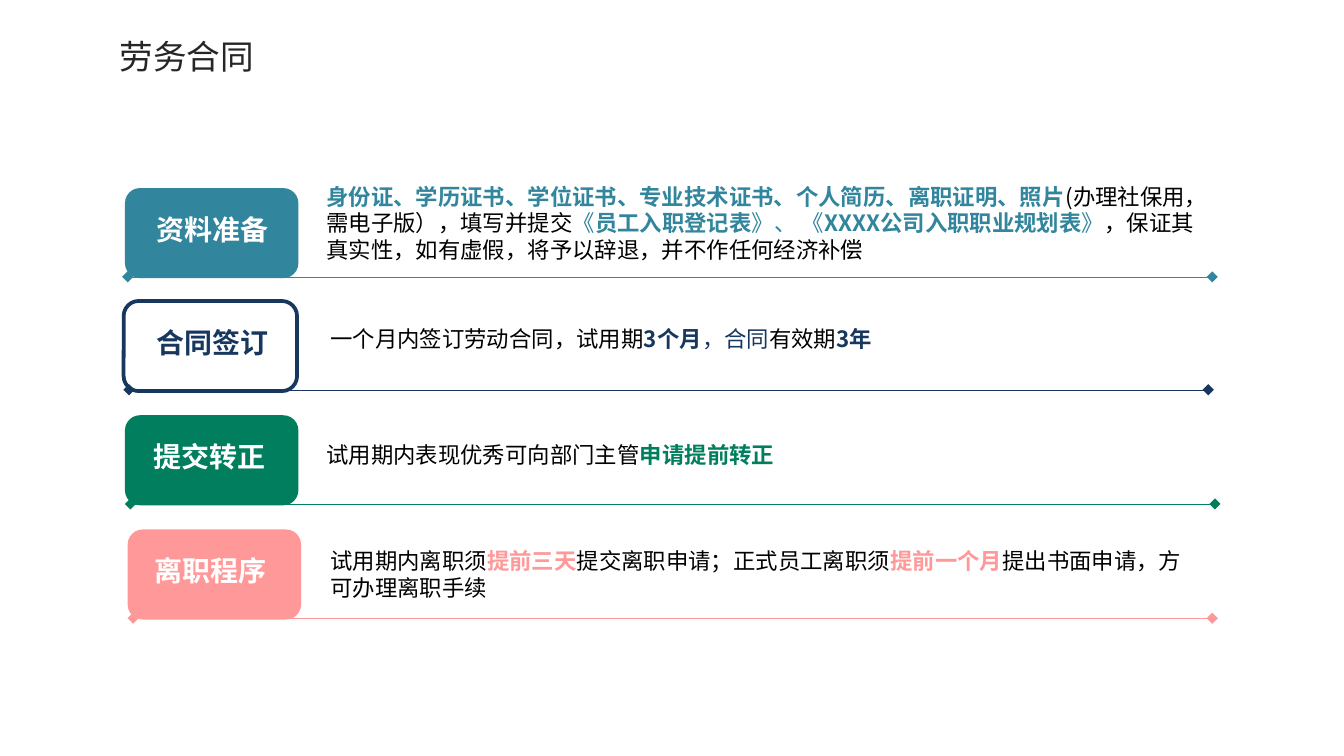
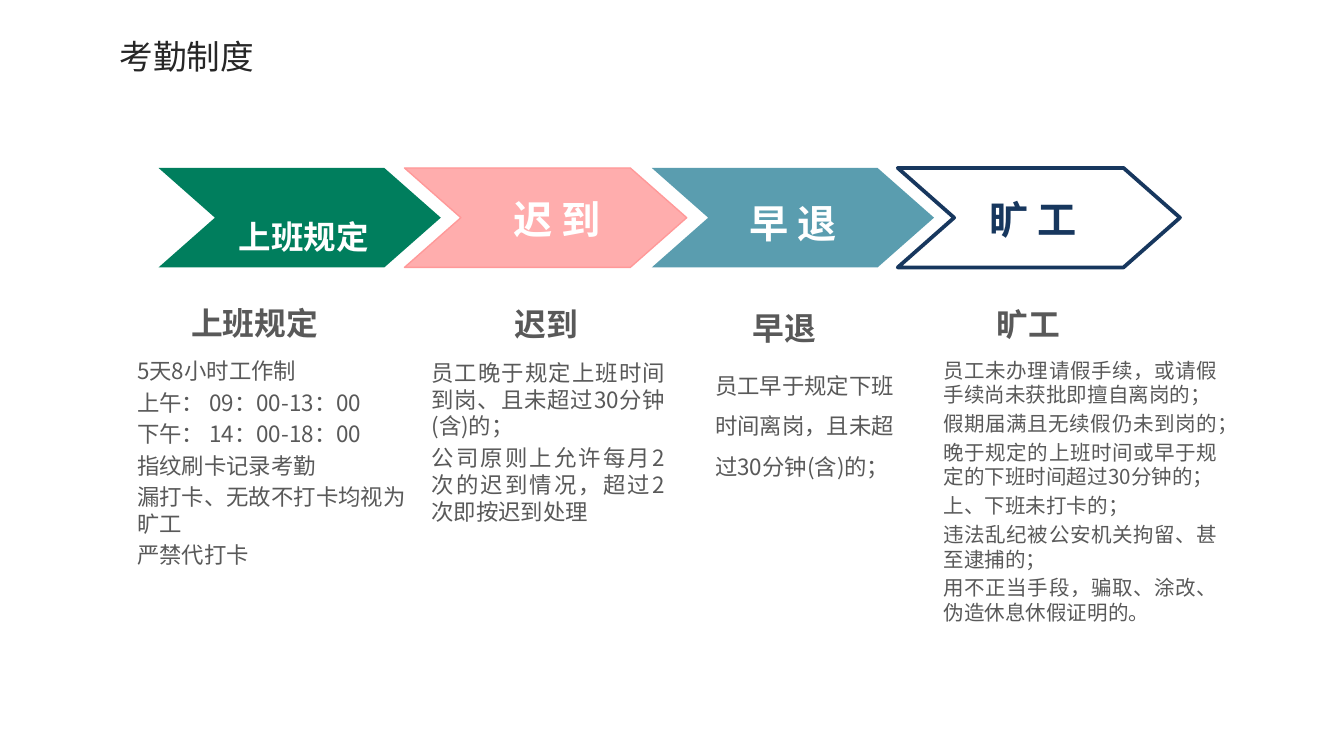
from dataclasses import dataclass
from typing import NamedTuple

from lxml.etree import SubElement
from pptx import Presentation
from pptx.dml.color import RGBColor
from pptx.enum.dml import MSO_LINE
from pptx.enum.shapes import MSO_CONNECTOR, MSO_SHAPE
from pptx.enum.text import MSO_ANCHOR, MSO_AUTO_SIZE, PP_ALIGN
from pptx.oxml.ns import qn
from pptx.util import Emu, Inches, Pt

# Shared look: 100 px to the inch, on a 16:9 page
PX = 9144
PAGE_WIDTH = Inches(10)
PAGE_HEIGHT = Emu(PAGE_WIDTH * 9 // 16)
FONT = "Noto Sans CJK SC"
LINE_HEIGHT = 1.2
TITLE_ONLY, COMPARISON = 5, 4
BLACK, WHITE, INK, GREY = "000000", "FFFFFF", "262626", "595959"
TEAL, NAVY, GREEN, PINK = "31859C", "17375E", "007E5D", "FF9999"


class Area(NamedTuple):
    left: int
    top: int
    width: int
    height: int


class Span(NamedTuple):
    text: str
    color: str = BLACK
    bold: bool = False


@dataclass(frozen=True)
class Style:
    size: int
    align: PP_ALIGN = PP_ALIGN.LEFT
    anchor: MSO_ANCHOR = MSO_ANCHOR.TOP
    wrap: bool = True
    leading: float = 1.0
    exact: bool = True
    inset: tuple[int, int] = (10, 5)
    baseline: int = 0


@dataclass(frozen=True)
class Step:
    label: str
    color: str
    card_left: int
    label_left: int
    detail: Area
    rule: tuple[int, int]
    spans: list[Span]
    outlined: bool = False


@dataclass(frozen=True)
class Column:
    label: str
    label_area: Area
    label_style: Style
    color: str
    heading: str
    heading_area: Area
    body_area: Area
    body_style: Style
    lines: list[str]
    opacity: int = 100
    edge: float = 0
    outlined: bool = False


TITLE = Style(18, wrap=False)
CARD_LABEL = Style(15, PP_ALIGN.CENTER, wrap=False)
DETAIL = Style(12)
HEADING = Style(17, PP_ALIGN.CENTER, wrap=False, inset=(7, 4))
LIST = Style(12, inset=(7, 4))
LIST_JUSTIFIED = Style(12, PP_ALIGN.JUSTIFY, inset=(7, 4))
LIST_SMALL = Style(11, PP_ALIGN.JUSTIFY, inset=(7, 4))
LIST_OPEN = Style(12, leading=1.5, inset=(7, 4))
ARROW = Style(21, PP_ALIGN.CENTER, MSO_ANCHOR.MIDDLE, exact=False)
ARROW_OPEN = Style(21, PP_ALIGN.CENTER, MSO_ANCHOR.MIDDLE, leading=1.2, exact=False)
ARROW_LOW = Style(30, PP_ALIGN.CENTER, MSO_ANCHOR.MIDDLE, leading=1.2, exact=False,
                  baseline=-3000)


def px(value: int) -> Emu:
    return Emu(value * PX)


def rgb(color: str) -> RGBColor:
    return RGBColor.from_string(color)


def write(box, area: Area, paragraphs: list[list[Span]], style: Style) -> None:
    """Place a text box or placeholder and fill it with styled paragraphs."""
    box.left, box.top, box.width, box.height = map(px, area)
    frame = box.text_frame
    frame.word_wrap = style.wrap
    frame.auto_size = MSO_AUTO_SIZE.SHAPE_TO_FIT_TEXT
    frame.vertical_anchor = style.anchor
    frame.margin_left = frame.margin_right = px(style.inset[0])
    frame.margin_top = frame.margin_bottom = px(style.inset[1])
    for index, spans in enumerate(paragraphs):
        para = frame.add_paragraph() if index else frame.paragraphs[0]
        properties = para._p.get_or_add_pPr()
        properties.set("marL", "0")
        properties.set("indent", "0")
        SubElement(properties, qn("a:buNone"))
        para.alignment = style.align
        para.space_before = Pt(style.size * 0.2 if index else 0)
        if style.exact:
            para.line_spacing = Pt(style.size * LINE_HEIGHT * style.leading)
        else:
            para.line_spacing = style.leading
        for span in spans:
            run = para.add_run()
            run.text = span.text
            run.font.size = Pt(style.size)
            run.font.bold = span.bold
            run.font.color.rgb = rgb(span.color)
            run.font.name = FONT
            run_properties = run._r.get_or_add_rPr()
            SubElement(run_properties, qn("a:ea")).set("typeface", FONT)
            if style.baseline:
                run_properties.set("baseline", str(style.baseline))


def add_text(page, area: Area, spans: list[Span], style: Style) -> None:
    write(page.shapes.add_textbox(*map(px, area)), area, [spans], style)


def paint(shape, color: str, outlined: bool, opacity: int = 100, edge: float = 0) -> None:
    """Give a shape either a solid fill or a heavy outline."""
    shape.shadow.inherit = False
    if outlined:
        shape.fill.background()
        edge = 2
    else:
        shape.fill.solid()
        shape.fill.fore_color.rgb = rgb(color)
        if opacity < 100:
            fill = shape._element.spPr.find(qn("a:solidFill"))
            SubElement(fill[0], qn("a:alpha")).set("val", str(opacity * 1000))
    if edge:
        shape.line.color.rgb = rgb(color)
        shape.line.width = Pt(edge)
    else:
        shape.line.fill.background()


def add_rule(page, left: int, right: int, top: int, color: str) -> None:
    """Draw a dotted rule with a diamond at each end."""
    rule = page.shapes.add_connector(MSO_CONNECTOR.STRAIGHT, px(left), px(top),
                                     px(right), px(top))
    rule.line.color.rgb = rgb(color)
    rule.line.width = Pt(0.25)
    rule.line.dash_style = MSO_LINE.ROUND_DOT
    outline = rule.line._get_or_add_ln()
    for end in ("a:headEnd", "a:tailEnd"):
        SubElement(outline, qn(end)).set("type", "diamond")
    SubElement(rule._element.spPr, qn("a:effectLst"))


def add_chevron(page, left: int, top: int):
    outline = page.shapes.build_freeform(0, 0, scale=PX)
    outline.add_line_segments([(168, 0), (210, 37), (168, 74), (0, 74), (42, 37)])
    return outline.convert_to_shape(px(left), px(top))


def add_page(deck, layout: int, title: str):
    page = deck.slides.add_slide(deck.slide_layouts[layout])
    write(page.shapes.title, Area(79, 22, 121, 40), [[Span(title, INK)]], TITLE)
    return page


# Slide 1: contract steps
STEPS = [
    Step("资料准备", TEAL, 93, 106, Area(233, 131, 670, 71), (95, 902), [
        Span("身份证、学历证书、学位证书、专业技术证书、个人简历、离职证明、照片", TEAL, True),
        Span("(办理社保用，需电子版），填写并提交"),
        Span("《", TEAL),
        Span("员工入职登记表", TEAL, True),
        Span("》、 《", TEAL),
        Span("XXXX公司入职职业规划表", TEAL, True),
        Span("》", TEAL),
        Span("，保证其真实性，如有虚假，将予以辞退，并不作任何经济补偿"),
    ]),
    Step("合同签订", NAVY, 92, 106, Area(236, 237, 510, 30), (96, 899), [
        Span("一个月内签订劳动合同，试用期"),
        Span("3个月", NAVY, True),
        Span("，合同", NAVY),
        Span("有效期"),
        Span("3年", NAVY, True),
    ], outlined=True),
    Step("提交转正", GREEN, 93, 104, Area(233, 323, 609, 30), (97, 904), [
        Span("试用期内表现优秀可向部门主管"),
        Span("申请提前转正", GREEN, True),
    ]),
    Step("离职程序", PINK, 95, 105, Area(236, 402, 666, 50), (99, 902), [
        Span("试用期内离职须"),
        Span("提前三天", PINK, True),
        Span("提交离职申请；正式员工离职须"),
        Span("提前一个月", PINK, True),
        Span("提出书面申请，方可办理离职手续"),
    ]),
]


def build_contract(deck) -> None:
    page = add_page(deck, TITLE_ONLY, "劳务合同")
    for index, step in enumerate(STEPS):
        top = 140 + 254 * index // 3
        card = page.shapes.add_shape(MSO_SHAPE.ROUNDED_RECTANGLE,
                                     *map(px, Area(step.card_left, top, 129, 67)))
        paint(card, step.color, step.outlined)
        label = Span(step.label, step.color if step.outlined else WHITE, True)
        add_text(page, Area(step.label_left, top + 13, 104, 35), [label], CARD_LABEL)
        add_text(page, step.detail, step.spans, DETAIL)
        add_rule(page, *step.rule, top + 66, step.color)


# Slide 2: attendance columns
COLUMNS = [
    Column("上班规定", Area(135, 139, 182, 47), ARROW_LOW, GREEN,
           "上班规定", Area(134, 222, 111, 36), Area(95, 262, 223, 169), LIST, [
               "5天8小时工作制",
               "上午： 09：00-13：00",
               "下午： 14：00-18：00",
               "指纹刷卡记录考勤",
               "漏打卡、无故不打卡均视为旷工",
               "严禁代打卡",
           ]),
    Column("迟 到", Area(326, 140, 177, 45), ARROW, PINK,
           "迟到", Area(375, 223, 63, 36), Area(314, 263, 188, 133), LIST_JUSTIFIED, [
               "员工晚于规定上班时间到岗、且未超过30分钟(含)的；",
               "公司原则上允许每月2次的迟到情况，超过2次即按迟到处理",
           ], opacity=80, edge=0.75),
    Column("早 退", Area(502, 138, 176, 49), ARROW_OPEN, TEAL,
           "早退", Area(552, 226, 63, 36), Area(525, 263, 155, 98), LIST_OPEN, [
               "员工早于规定下班时间离岗，且未超过30分钟(含)的；",
           ], opacity=80),
    Column("旷 工", Area(680, 140, 177, 45), ARROW, NAVY,
           "旷工", Area(734, 223, 63, 36), Area(695, 262, 218, 211), LIST_SMALL, [
               "员工未办理请假手续，或请假手续尚未获批即擅自离岗的；",
               "假期届满且无续假仍未到岗的；",
               "晚于规定的上班时间或早于规定的下班时间超过30分钟的；",
               "上、下班未打卡的；",
               "违法乱纪被公安机关拘留、甚至逮捕的；",
               "用不正当手段，骗取、涂改、伪造休息休假证明的。",
           ], outlined=True),
]


def build_attendance(deck) -> None:
    page = add_page(deck, COMPARISON, "考勤制度")
    for index, column in enumerate(COLUMNS):
        chevron = add_chevron(page, round(118 + 550 * index / 3), 125)
        paint(chevron, column.color, column.outlined, column.opacity, column.edge)
        label = Span(column.label, column.color if column.outlined else WHITE, True)
        add_text(page, column.label_area, [label], column.label_style)
        heading = Span(column.heading, GREY, True)
        add_text(page, column.heading_area, [heading], HEADING)
        write(page.placeholders[index + 1], column.body_area,
              [[Span(line, GREY)] for line in column.lines], column.body_style)


def main() -> None:
    deck = Presentation()
    deck.slide_width, deck.slide_height = PAGE_WIDTH, PAGE_HEIGHT
    build_contract(deck)
    build_attendance(deck)
    deck.save("out.pptx")


if __name__ == "__main__":
    main()
